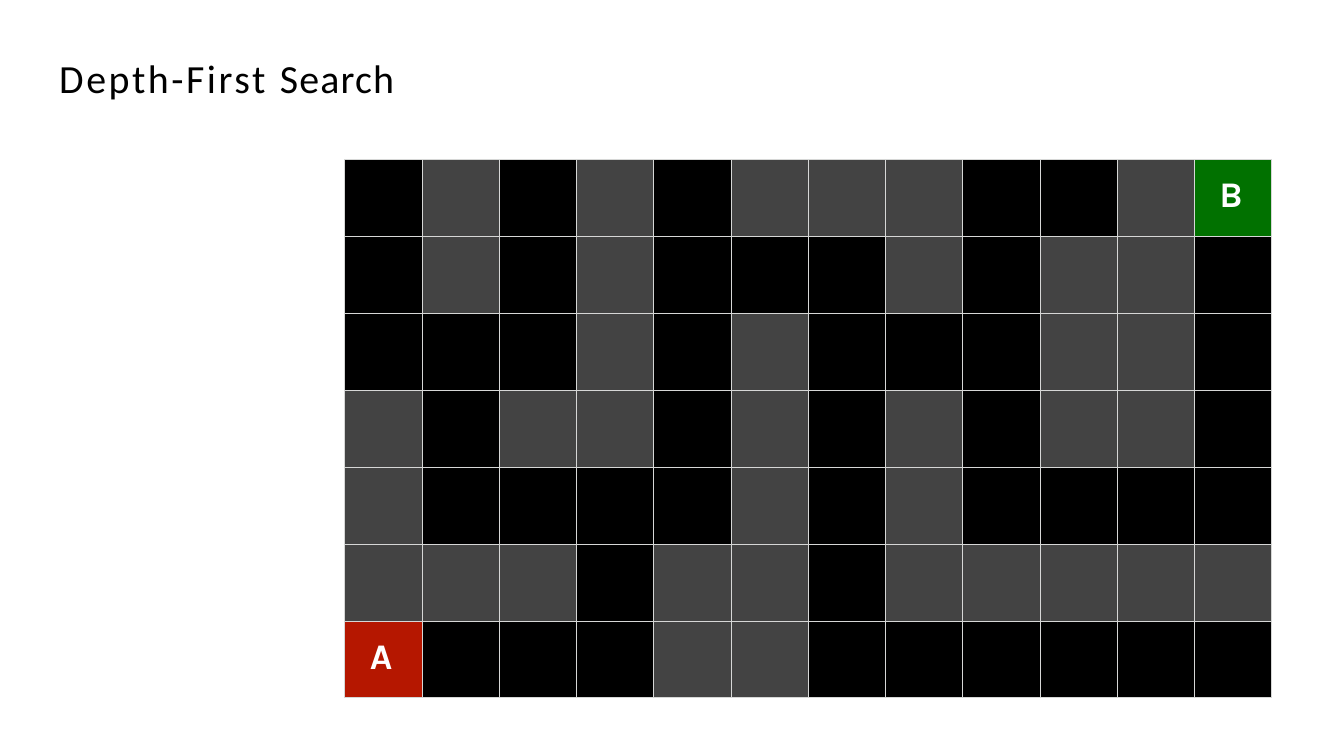
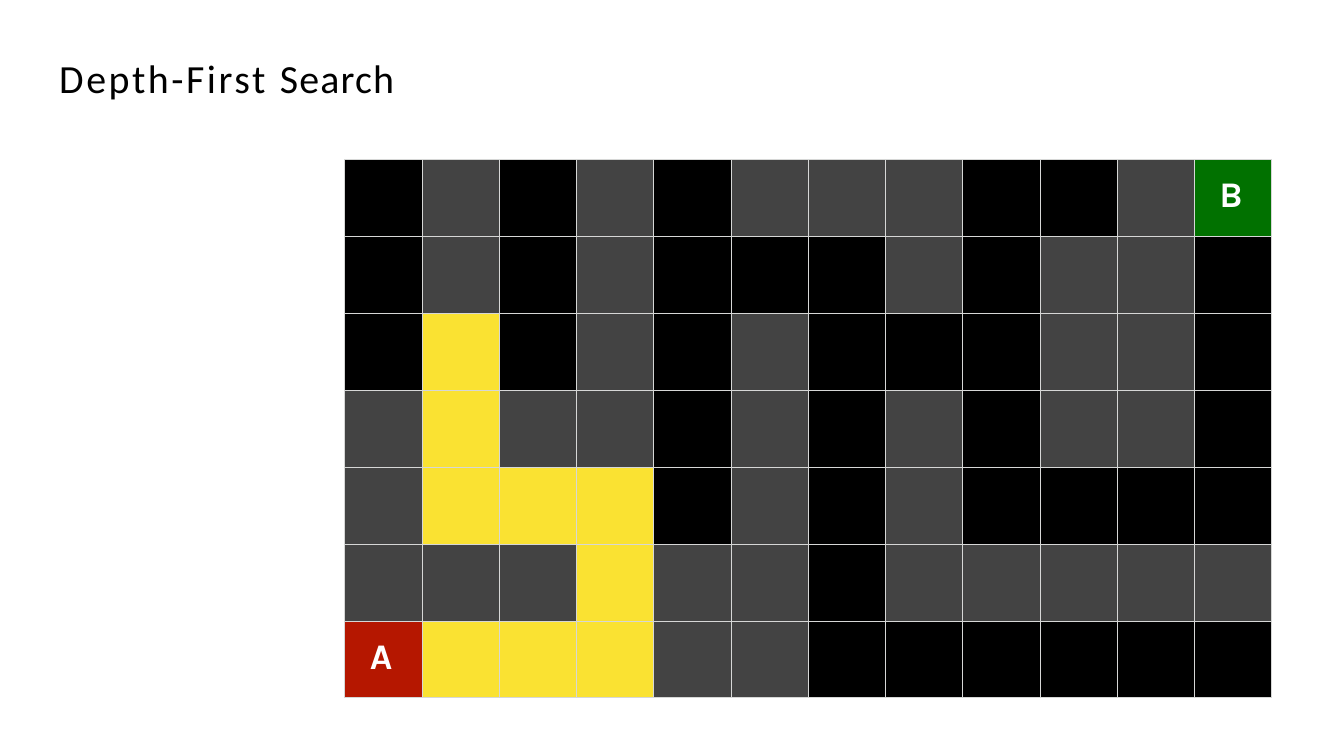
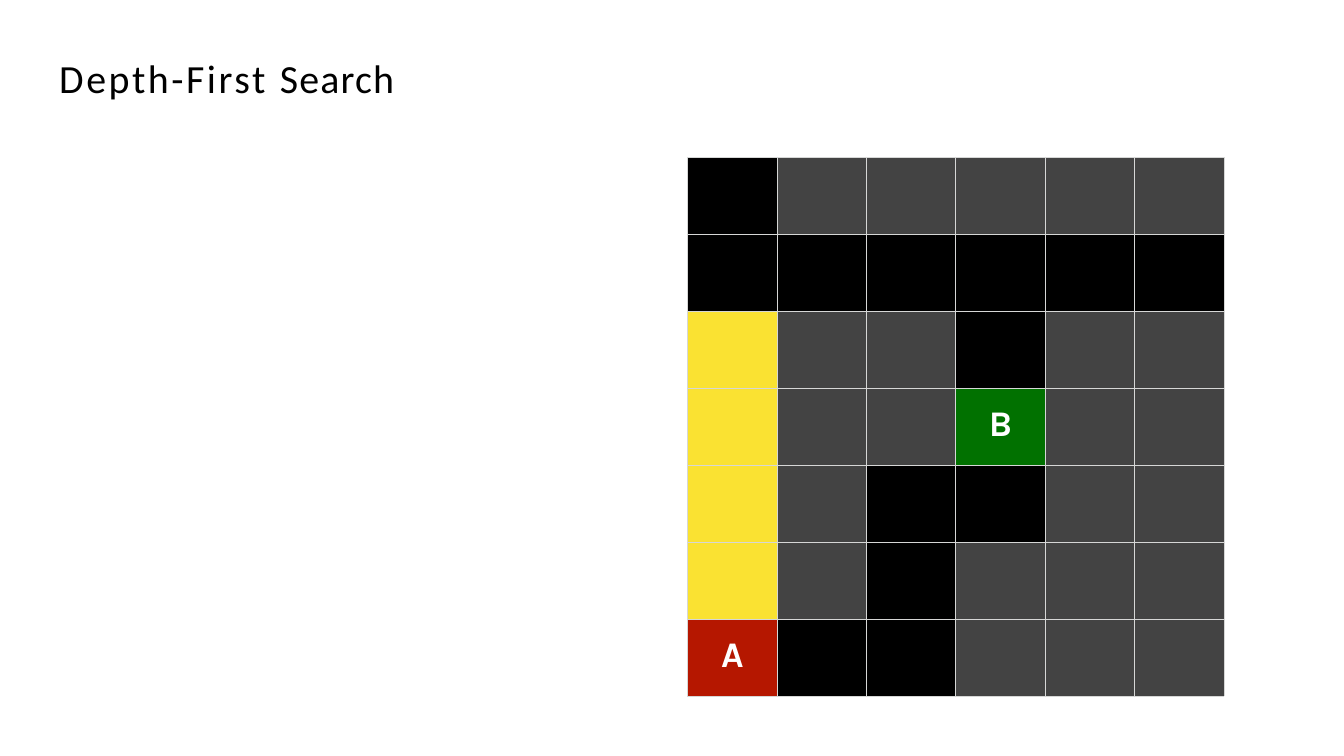
"""Build three depth-first search maze slides."""
from lxml import etree
from pptx import Presentation
from pptx.dml.color import RGBColor
from pptx.enum import text
from pptx.oxml import ns
from pptx.util import Pt

PX = 9144
BLACK = RGBColor(0x00, 0x00, 0x00)
WHITE = RGBColor(0xFF, 0xFF, 0xFF)
WALL = RGBColor(0x43, 0x43, 0x43)
EXPLORED = RGBColor(0xFA, 0xE2, 0x32)
START = RGBColor(0xB5, 0x17, 0x00)
GOAL = RGBColor(0x01, 0x71, 0x00)
GRID = RGBColor(0xD6, 0xD7, 0xD6)

CELL_FILLS = {".": BLACK, "#": WALL, "*": EXPLORED, "A": START, "B": GOAL}
TITLE_FONT = {"name": "Calibri", "size": Pt(47)}
LABEL_FONT = {"name": "Karla", "size": Pt(42.5), "bold": True}
TITLE_SPANS = (("Depth-First ", 300), ("Search", 140))

LARGE_MAZE = (
    ".#.#.###..#B",
    ".#.#...#.##.",
    ".*.#.#...##.",
    "#*##.#.#.##.",
    "#***.#.#....",
    "###*##.#####",
    "A***##......",
)
SMALL_MAZE = (
    ".#####",
    "......",
    "*##.##",
    "*##B##",
    "*#..##",
    "*#.###",
    "A..###",
)


def px(length):
    """Turn px into EMU."""
    return round(length * PX)


def set_values(target, values):
    """Set each named attribute of an object."""
    for name, value in values.items():
        setattr(target, name, value)


def add_span(para, words, font, color):
    """Add a formatted run to a paragraph and return it."""
    span = para.add_run()
    span.text = words
    set_values(span.font, font)
    span.font.color.rgb = color
    return span


def add_title(page):
    """Add the title shared by all slides."""
    frame = page.shapes.add_textbox(px(96), px(86), px(610), px(81)).text_frame
    set_values(frame, {
        "word_wrap": True,
        "auto_size": text.MSO_AUTO_SIZE.SHAPE_TO_FIT_TEXT,
        "vertical_anchor": text.MSO_ANCHOR.MIDDLE,
        "margin_left": px(1), "margin_top": px(1),
        "margin_right": 0, "margin_bottom": 0,
    })
    for words, spacing in TITLE_SPANS:
        span = add_span(frame.paragraphs[0], words, TITLE_FONT, BLACK)
        span.font._element.set("spc", str(spacing))


def add_borders(cell):
    """Draw a thin grid line on each side of a cell."""
    properties = cell._tc.get_or_add_tcPr()
    for side in ("a:lnL", "a:lnR", "a:lnT", "a:lnB"):
        line = etree.SubElement(properties, ns.qn(side), w=str(Pt(1)))
        fill = etree.SubElement(line, ns.qn("a:solidFill"))
        etree.SubElement(fill, ns.qn("a:srgbClr"), val=str(GRID))


def add_label(cell, letter, inset):
    """Write a letter in a cell, centred unless a left inset is given."""
    set_values(cell, {
        "margin_left": px(inset or 0), "margin_top": px(25),
        "margin_right": 0, "margin_bottom": 0,
    })
    para = cell.text_frame.paragraphs[0]
    para.alignment = text.PP_ALIGN.CENTER if inset is None else text.PP_ALIGN.LEFT
    add_span(para, letter, LABEL_FONT, WHITE)


def add_maze(page, maze, left, top, width, height, label_inset=None):
    """Add a maze as a table with one cell for each symbol."""
    row_count, column_count = len(maze), len(maze[0])
    table = page.shapes.add_table(
        row_count, column_count, px(left), px(top), px(width), px(height)).table
    set_values(table, {"first_row": False, "horz_banding": False})
    for column in table.columns:
        column.width = px(width / column_count)
    for row in table.rows:
        row.height = px(height / row_count)
    for cell, symbol in zip(table.iter_cells(), "".join(maze)):
        add_borders(cell)
        cell.fill.solid()
        cell.fill.fore_color.rgb = CELL_FILLS[symbol]
        if symbol.isalpha():
            add_label(cell, symbol, label_inset)


def main():
    """Build and save the deck."""
    deck = Presentation()
    set_values(deck, {"slide_width": px(2199), "slide_height": px(1237)})
    unexplored = [row.replace("*", ".") for row in LARGE_MAZE]
    large_place = (564, 261, 1517, 881, 41)
    small_place = (1125, 258, 878, 881)
    for maze, place in ((unexplored, large_place), (LARGE_MAZE, large_place),
                        (SMALL_MAZE, small_place)):
        page = deck.slides.add_slide(deck.slide_layouts[6])
        add_maze(page, maze, *place)
        add_title(page)
    deck.save("out.pptx")


if __name__ == "__main__":
    main()
